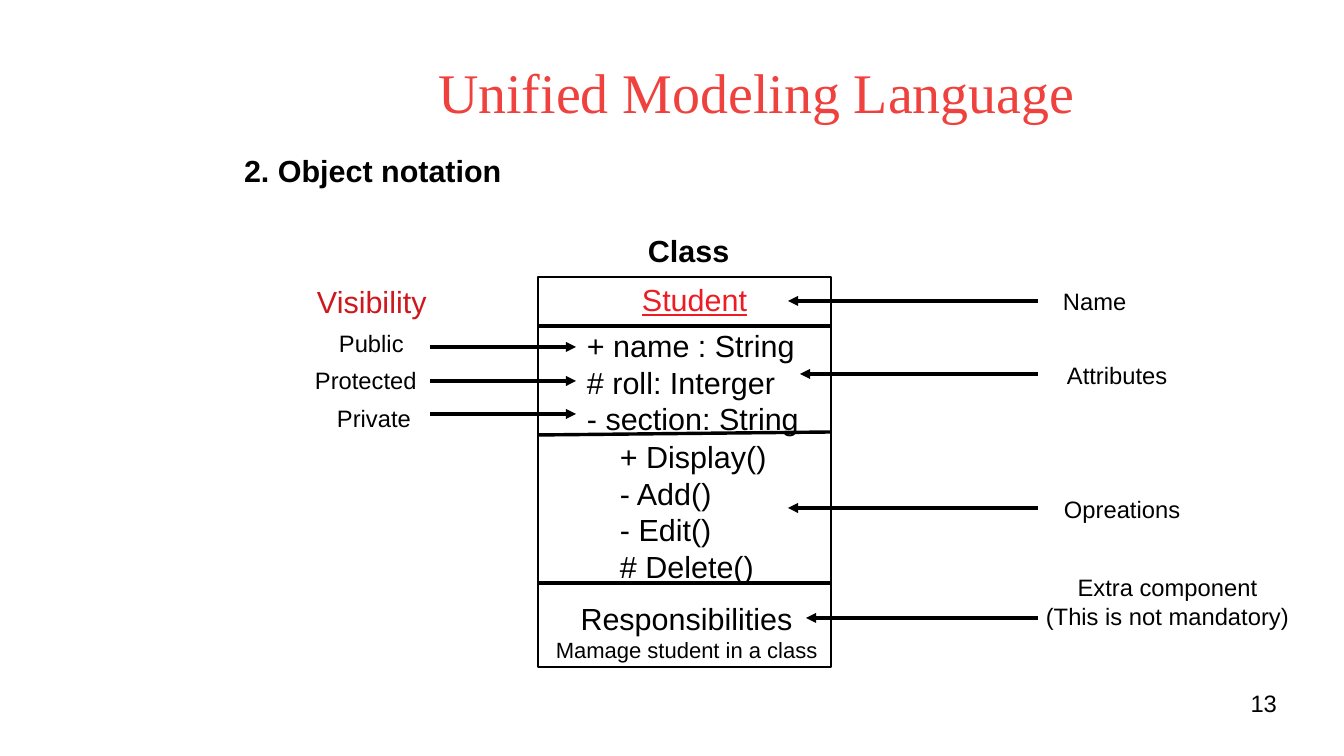
"""Build the slide that explains UML object notation with a Student class."""
from lxml.etree import SubElement
from pptx import Presentation
from pptx.dml.color import RGBColor
from pptx.enum.shapes import MSO_CONNECTOR, MSO_SHAPE
from pptx.enum.text import MSO_ANCHOR, PP_ALIGN
from pptx.oxml.ns import qn
from pptx.util import Pt

PX = 7495
BLACK = "000000"
LEFT, CENTER, RIGHT = PP_ALIGN.LEFT, PP_ALIGN.CENTER, PP_ALIGN.RIGHT

deck = Presentation()
deck.slide_width, deck.slide_height = 1344 * PX, 756 * PX
slide = deck.slides.add_slide(deck.slide_layouts[6])


def add_text(box, lines, size=18, color=BLACK, align=LEFT, font="Arial", bold=False, inset=True):
    label = slide.shapes.add_textbox(*(length * PX for length in box))
    frame = label.text_frame
    frame.word_wrap = True
    if not inset:
        frame.margin_left = frame.margin_right = frame.margin_top = frame.margin_bottom = 0
    frame.text = lines
    for paragraph in frame.paragraphs:
        paragraph.alignment = align
        paragraph.font.name = font
        paragraph.font.size = Pt(size)
        paragraph.font.bold = bold
        paragraph.font.color.rgb = RGBColor.from_string(color)
    return frame


def add_line(x1, y1, x2, y2, arrow_end=None):
    line = slide.shapes.add_connector(MSO_CONNECTOR.STRAIGHT, x1 * PX, y1 * PX, x2 * PX, y2 * PX)
    line.line.color.rgb = RGBColor.from_string(BLACK)
    line.line.width = 0
    if arrow_end:
        SubElement(line.line._get_or_add_ln(), qn(f"a:{arrow_end}"), type="triangle")
    SubElement(line._element.spPr, qn("a:effectLst"))


title = add_text((216, 29, 1081, 124), "Unified Modeling Language", 33, "EF413D", CENTER,
                 "Times New Roman", inset=False)
title.vertical_anchor = MSO_ANCHOR.MIDDLE
add_text((232, 146, 878, 81), "2. Object notation", bold=True)

class_left, class_right = 538, 831
class_box = slide.shapes.add_shape(MSO_SHAPE.RECTANGLE, class_left * PX, 277 * PX,
                                   (class_right - class_left) * PX, 390 * PX)
class_box.shadow.inherit = False
class_box.fill.solid()
class_box.fill.fore_color.rgb = RGBColor.from_string("FFFFFF")
class_box.line.color.rgb = RGBColor.from_string(BLACK)
class_box.line.width = Pt(1.5)
for left_y, right_y in [(326, 326), (435, 432), (583, 583)]:
    add_line(class_left, left_y, class_right, right_y)

add_text((636, 226, 171, 46), "Class", bold=True)
class_name = add_text((630, 275, 159, 46), "Student", color="ED1C24")
class_name.paragraphs[0].font.underline = True
add_text((575, 321, 305, 115), "+ name : String\n# roll: Interger\n- section: String")
add_text((608, 432, 305, 149), "+ Display()\n- Add()\n- Edit()\n# Delete()")
responsibilities = add_text((467, 594, 439, 115), "Responsibilities\nMamage student in a class",
                            align=CENTER)
responsibilities.paragraphs[1].font.size = Pt(13)

for tip_x, y in [(788, 301), (800, 374), (788, 508), (806, 618)]:
    add_line(tip_x, y, 1038, y, "headEnd")
for y in (347, 381, 414):
    add_line(430, y, 576, y, "tailEnd")

add_text((305, 277, 134, 46), "Visibility", color="CE181E")
for left, top, width, caption in [
    (327, 323, 134, "Public"),
    (303, 360, 134, "Protected"),
    (325, 398, 134, "Private"),
    (1051, 281, 134, "Name"),
    (1055, 355, 166, "Attributes"),
    (1052, 489, 159, "Opreations"),
]:
    add_text((left, top, width, 39), caption, 14)
add_text((1021, 567, 293, 92), "Extra component\n(This is not mandatory)", 14, align=CENTER)
add_text((964, 689, 313, 52), "13", 14, align=RIGHT, inset=False)

deck.save("out.pptx")
